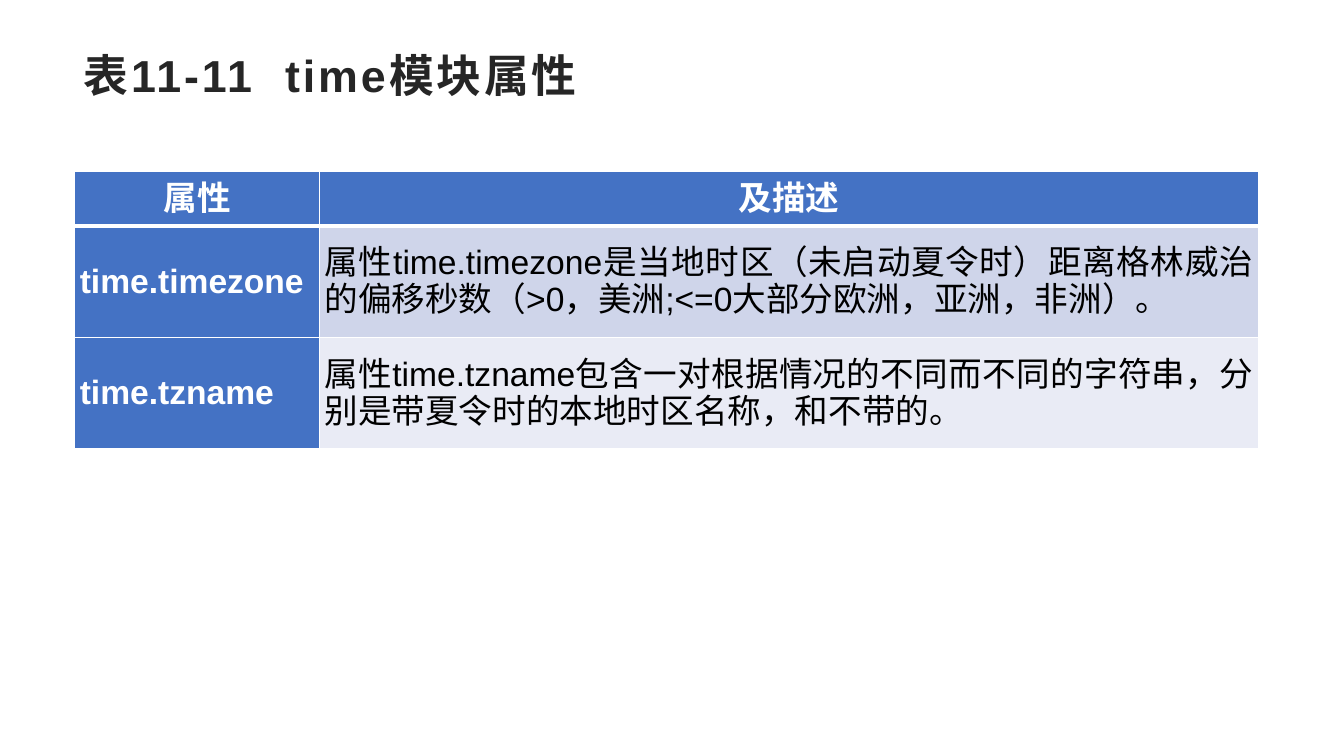
from dataclasses import dataclass

from lxml.etree import SubElement
from pptx import Presentation
from pptx.dml.color import RGBColor
from pptx.enum.lang import MSO_LANGUAGE_ID as Language
from pptx.enum.text import MSO_ANCHOR as Anchor, PP_ALIGN as Align
from pptx.oxml.ns import qn
from pptx.table import _Cell as Cell
from pptx.text.text import _Paragraph as Paragraph
from pptx.util import Cm, Pt


@dataclass(frozen=True)
class Theme:
    font: str = "Arial"
    title_size: int = 32
    table_size: int = 24
    title: str = "262626"
    accent: str = "4472C4"
    white: str = "FFFFFF"
    black: str = "000000"
    bands: tuple[str, str] = ("CFD5EA", "E9EBF5")


@dataclass(frozen=True)
class CellStyle:
    fill: str
    color: str
    bold: bool
    align: Align
    margin_x: float
    margin_y: float
    top_line: float = 1
    bottom_line: float = 1


THEME = Theme()
TITLE = "表11-11  time模块属性"
HEADER = ("属性", "及描述")
ATTRIBUTES = (
    ("time.timezone", "属性time.timezone是当地时区（未启动夏令时）距离格林威治的偏移秒数"
                      "（>0，美洲;<=0大部分欧洲，亚洲，非洲）。"),
    ("time.tzname", "属性time.tzname包含一对根据情况的不同而不同的字符串，"
                    "分别是带夏令时的本地时区名称，和不带的。"),
)
COLUMN_WIDTHS = (6.17, 23.67)
ROW_HEIGHTS = (1.37, 2.81, 2.81)
HEADER_LINE = 3


def write(para: Paragraph, text: str, size: int, color: str, bold: bool, spacing: int = 0) -> None:
    span = para.add_run()
    span.text = text
    formats = {"name": THEME.font, "size": Pt(size), "bold": bold,
               "language_id": Language.SIMPLIFIED_CHINESE}
    for name, value in formats.items():
        setattr(span.font, name, value)
    span.font.color.rgb = RGBColor.from_string(color)
    properties = span._r.get_or_add_rPr()
    SubElement(properties, qn("a:ea"), typeface=THEME.font)
    if spacing:
        properties.set("spc", str(spacing * 100))


def add_borders(cell: Cell, style: CellStyle) -> None:
    properties = cell._tc.get_or_add_tcPr()
    widths = {"a:lnL": 1, "a:lnR": 1, "a:lnT": style.top_line, "a:lnB": style.bottom_line}
    for side, width in widths.items():
        line = SubElement(properties, qn(side), w=str(Pt(width)))
        SubElement(SubElement(line, qn("a:solidFill")), qn("a:srgbClr"), val=THEME.white)


def fill_cell(cell: Cell, text: str, style: CellStyle) -> None:
    add_borders(cell, style)
    cell.fill.solid()
    cell.fill.fore_color.rgb = RGBColor.from_string(style.fill)
    formats = {"vertical_anchor": Anchor.MIDDLE,
               "margin_left": Cm(style.margin_x), "margin_right": Cm(style.margin_x),
               "margin_top": Cm(style.margin_y), "margin_bottom": Cm(style.margin_y)}
    for name, value in formats.items():
        setattr(cell, name, value)
    para = cell.text_frame.paragraphs[0]
    para.alignment = style.align
    write(para, text, THEME.table_size, style.color, style.bold)


def cell_style(row: int, column: int) -> CellStyle:
    if row == 0:
        return CellStyle(THEME.accent, THEME.white, True, Align.CENTER, 0.08, 0.08,
                         bottom_line=HEADER_LINE)
    top_line = HEADER_LINE if row == 1 else 1
    if column == 0:
        return CellStyle(THEME.accent, THEME.white, True, Align.JUSTIFY, 0.13, 0.18, top_line)
    return CellStyle(THEME.bands[row - 1], THEME.black, False, Align.JUSTIFY, 0.13, 0.18, top_line)


def main() -> None:
    deck = Presentation()
    deck.slide_width, deck.slide_height = Cm(33.87), Cm(19.05)
    page = deck.slides.add_slide(deck.slide_layouts[5])

    # Title
    title = page.shapes.title
    title.left, title.top, title.width, title.height = Cm(1.85), Cm(1.22), Cm(30.15), Cm(1.98)
    title.text_frame.vertical_anchor = Anchor.TOP
    para = title.text_frame.paragraphs[0]
    para.alignment = Align.LEFT
    para.line_spacing = 0.9
    write(para, TITLE, THEME.title_size, THEME.title, True, spacing=2)

    # Attribute table
    rows = (HEADER, *ATTRIBUTES)
    table = page.shapes.add_table(len(rows), len(HEADER), Cm(1.88), Cm(4.32),
                                  Cm(sum(COLUMN_WIDTHS)), Cm(sum(ROW_HEIGHTS))).table
    for column, width in zip(table.columns, COLUMN_WIDTHS):
        column.width = Cm(width)
    for row, height in zip(table.rows, ROW_HEIGHTS):
        row.height = Cm(height)
    for r, texts in enumerate(rows):
        for c, text in enumerate(texts):
            fill_cell(table.cell(r, c), text, cell_style(r, c))

    deck.save("out.pptx")


if __name__ == "__main__":
    main()
